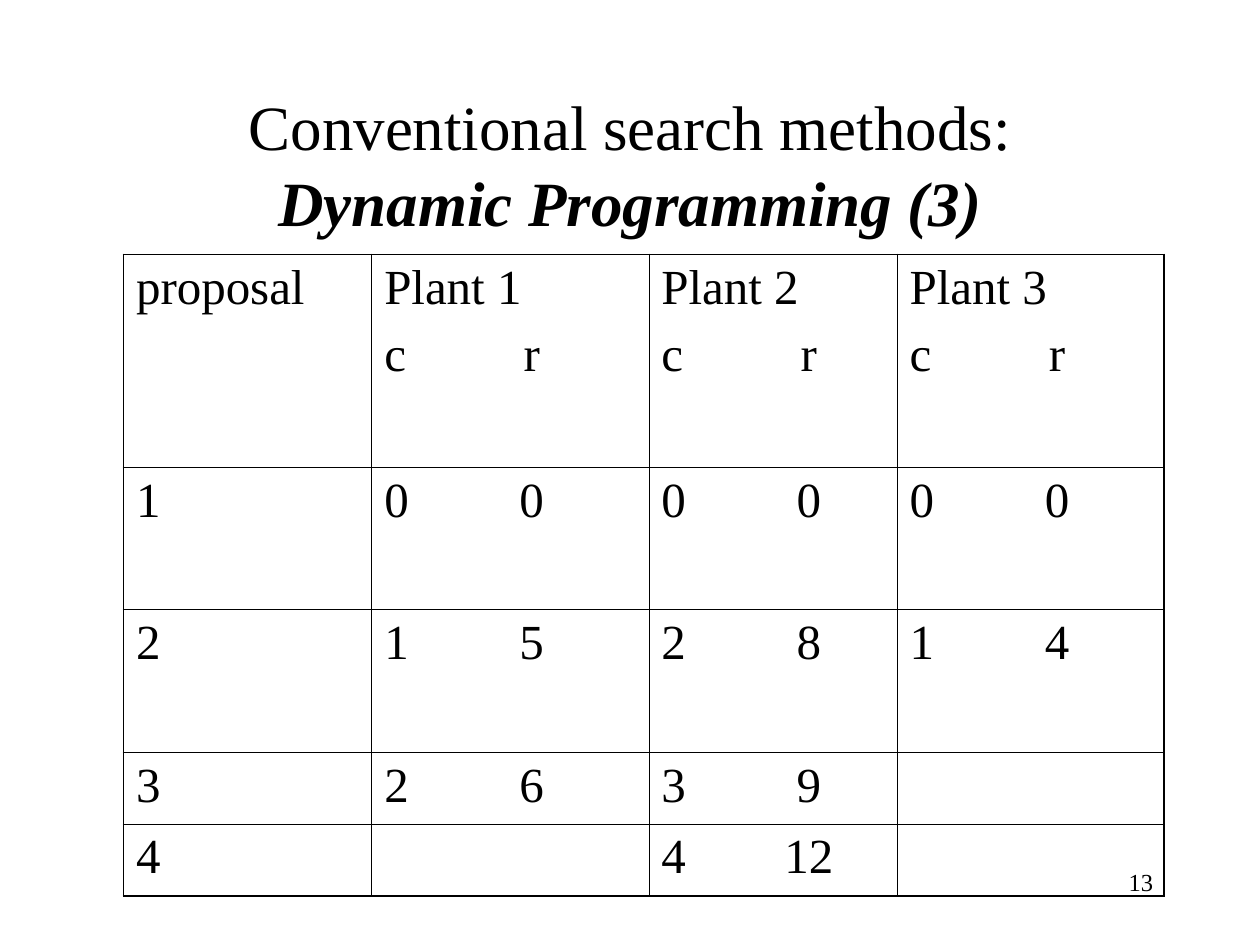
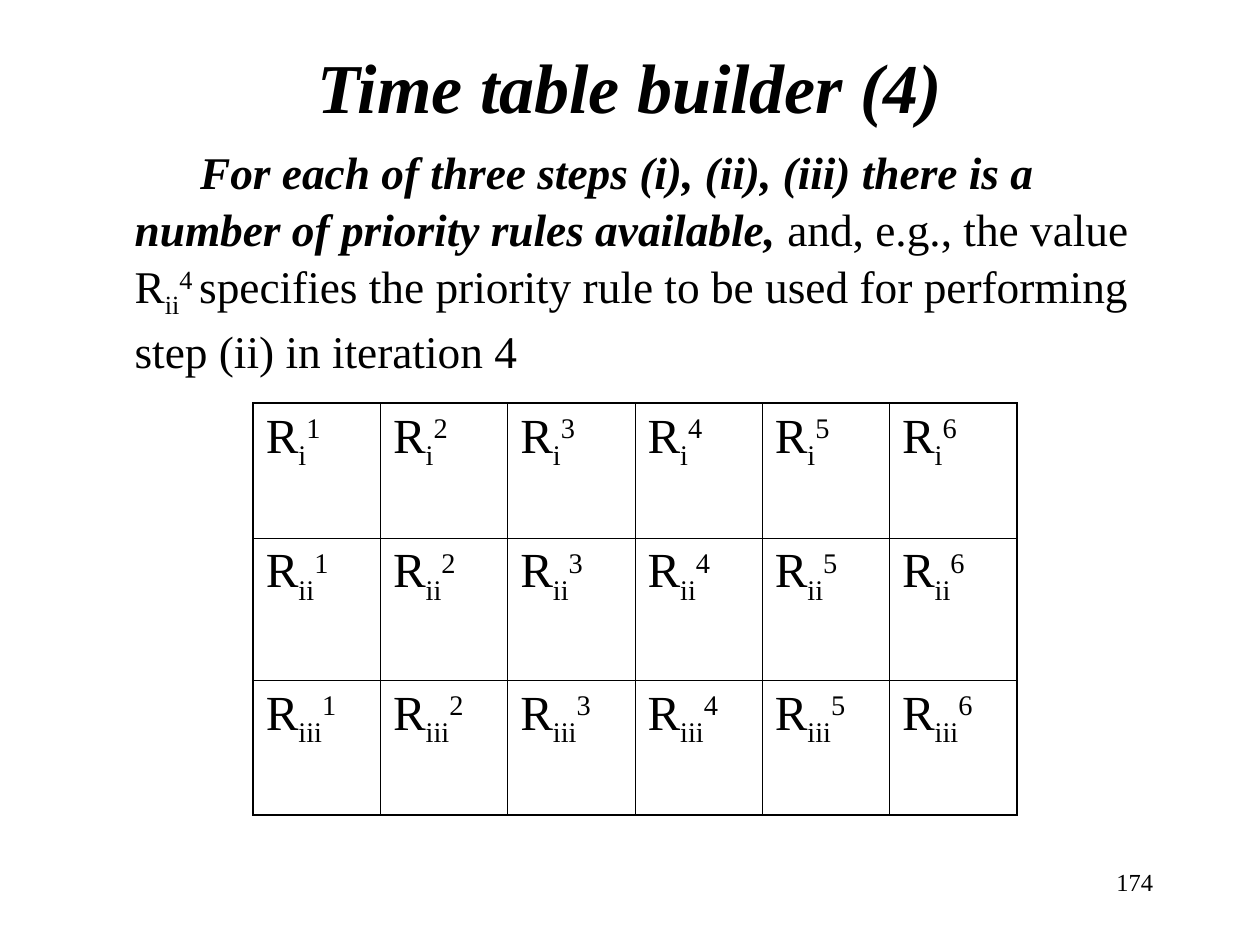
from dataclasses import dataclass
from typing import NamedTuple

from lxml.etree import SubElement
from pptx import Presentation
from pptx.dml.color import RGBColor
from pptx.enum.text import MSO_ANCHOR as Anchor, MSO_AUTO_SIZE as AutoSize, PP_ALIGN as Align
from pptx.oxml import parse_xml
from pptx.oxml.ns import nsdecls, qn
from pptx.util import Inches, Pt

# Shared style
FONT, INK, PAPER = "Times New Roman", "000000", "FFFFFF"
OUTER, INNER = 1.08, 0.45
TABLE_SIZE, NUMBER_SIZE = 28, 14
PARA_GAP = 7
SUB, SUPER = -25, 30
TAB_STOP = 1.17

# Grid: 100 columns by 75 rows of equal squares
COLS, ROWS = 100, 75
CELL = Inches(10) // COLS


class Area(NamedTuple):
    left: float
    top: float
    width: float
    height: float


@dataclass
class Run:
    text: str
    strong: bool = False  # bold and italic
    base: int = 0


@dataclass
class Grid:
    left: float
    top: float
    cols: list[float]
    rows: list[float]
    cells: list[list[list[list[Run]]]]  # row, column, paragraph, run


NUMBER_AREA = Area(71.7, 68.3, 20.8, 5)


def units(n: float) -> int:
    return round(n * CELL)


def color(value: str) -> RGBColor:
    return RGBColor.from_string(value)


def place(sp, area: Area) -> None:
    sp.left, sp.top, sp.width, sp.height = map(units, area)


def add_runs(p, runs: list[Run], size: float) -> None:
    for run in runs:
        if run.text == "\n":
            p.add_line_break()
            continue
        r = p.add_run()
        r.text = run.text
        r.font.name, r.font.size = FONT, Pt(size)
        r.font.bold = r.font.italic = run.strong
        r.font.color.rgb = color(INK)
        if run.base:
            r._r.get_or_add_rPr().set("baseline", str(run.base * 1000))


def add_slide(prs, title: list[Run], area: Area, size: float, number: int):
    s = prs.slides.add_slide(prs.slide_layouts[5])
    s.background.fill.solid()
    s.background.fill.fore_color.rgb = color(PAPER)
    # Title
    sp = s.shapes.title
    place(sp, area)
    tf = sp.text_frame
    tf.auto_size, tf.vertical_anchor = AutoSize.NONE, Anchor.MIDDLE
    p = tf.paragraphs[0]
    p.alignment = Align.CENTER
    add_runs(p, title, size)
    # Slide number
    p = add_text(s, NUMBER_AREA, [Run(str(number))], NUMBER_SIZE)
    p.alignment = Align.RIGHT
    return s


def add_text(s, area: Area, runs: list[Run], size: float):
    sp = s.shapes.add_textbox(*map(units, area))
    sp.text_frame.word_wrap = True
    p = sp.text_frame.paragraphs[0]
    add_runs(p, runs, size)
    return p


def add_border(cell, widths: dict[str, float]) -> None:
    pr = cell._tc.get_or_add_tcPr()
    for i, (side, width) in enumerate(widths.items()):
        pr.insert(i, parse_xml(
            f'<a:ln{side} {nsdecls("a")} w="{Pt(width)}"><a:solidFill>'
            f'<a:srgbClr val="{INK}"/></a:solidFill></a:ln{side}>'))


def add_tab(p) -> None:
    tabs = SubElement(p._p.get_or_add_pPr(), qn("a:tabLst"))
    SubElement(tabs, qn("a:tab"), pos=str(Inches(TAB_STOP)), algn="ctr")


def add_grid(s, grid: Grid) -> None:
    area = Area(grid.left, grid.top, sum(grid.cols), sum(grid.rows))
    n_rows, n_cols = len(grid.rows), len(grid.cols)
    table = s.shapes.add_table(n_rows, n_cols, *map(units, area)).table
    table.first_row = table.horz_banding = False
    for col, width in zip(table.columns, grid.cols):
        col.width = units(width)
    for row, height in zip(table.rows, grid.rows):
        row.height = units(height)
    for i, line in enumerate(grid.cells):
        for j, paragraphs in enumerate(line):
            cell = table.cell(i, j)
            cell.fill.background()
            edges = {"L": j == 0, "R": j == n_cols - 1, "T": i == 0, "B": i == n_rows - 1}
            add_border(cell, {k: OUTER if edge else INNER for k, edge in edges.items()})
            for k, runs in enumerate(paragraphs):
                p = cell.text_frame.add_paragraph() if k else cell.text_frame.paragraphs[0]
                if k:
                    p.space_before = Pt(PARA_GAP)
                if any("\t" in run.text for run in runs):
                    add_tab(p)
                add_runs(p, runs, TABLE_SIZE)


def pair(cost, revenue) -> list[list[Run]]:
    return [[Run(f"{cost}\t{revenue}")]]


def rule(step: str, iteration: int) -> list[Run]:
    return [Run("R"), Run(step, base=SUB), Run(str(iteration), base=SUPER)]


def dynamic_programming(prs) -> None:
    title = [Run("Conventional search methods:"), Run("\n"),
             Run("Dynamic Programming (3)", strong=True)]
    s = add_slide(prs, title, Area(7.5, 6.7, 85, 12.5), 36, 13)
    # Cost and revenue of each proposal, by plant
    proposals = [
        [(0, 0), (0, 0), (0, 0)],
        [(1, 5), (2, 8), (1, 4)],
        [(2, 6), (3, 9), None],
        [None, (4, 12), None],
    ]
    header = [[[Run("proposal")]]]
    header += [[[Run(f"Plant {n}")], *pair("c", "r")] for n in range(1, 4)]
    body = [[[[Run(str(n))]]] + [pair(*v) if v else [] for v in values]
            for n, values in enumerate(proposals, 1)]
    add_grid(s, Grid(9.8, 20.2, [19.7, 22, 19.7, 21.2],
                     [16.9, 11.3, 11.3, 5.7, 5.7], [header, *body]))


def time_table_builder(prs) -> None:
    title = [Run("Time table builder (4)", strong=True)]
    s = add_slide(prs, title, Area(7.5, 3.6, 85, 6.4), 40, 174)
    # Explanation
    p = add_text(s, Area(5.9, 10.7, 86.6, 19.7), [
        Run("For each of three steps (i), (ii), (iii) there is a "
            "number of priority rules available, ", strong=True),
        Run("and, e.g., the value R"), Run("ii", base=SUB), Run("4 ", base=SUPER),
        Run("specifies the priority rule to be used for performing "
            "step (ii) in iteration 4"),
    ], 25.9)
    p.line_spacing = 1.05
    pr = p._p.get_or_add_pPr()
    pr.set("marL", str(Inches(0.38)))
    pr.set("indent", str(Inches(0.52)))
    # Rule for each step and iteration
    cells = [[[rule(step, n)] for n in range(1, 7)] for step in ("i", "ii", "iii")]
    add_grid(s, Grid(20.1, 32, [10.1] * 6, [10.7, 11.3, 10.7], cells))


def main() -> None:
    prs = Presentation()
    prs.slide_width, prs.slide_height = COLS * CELL, ROWS * CELL
    dynamic_programming(prs)
    time_table_builder(prs)
    prs.save("out.pptx")


if __name__ == "__main__":
    main()
